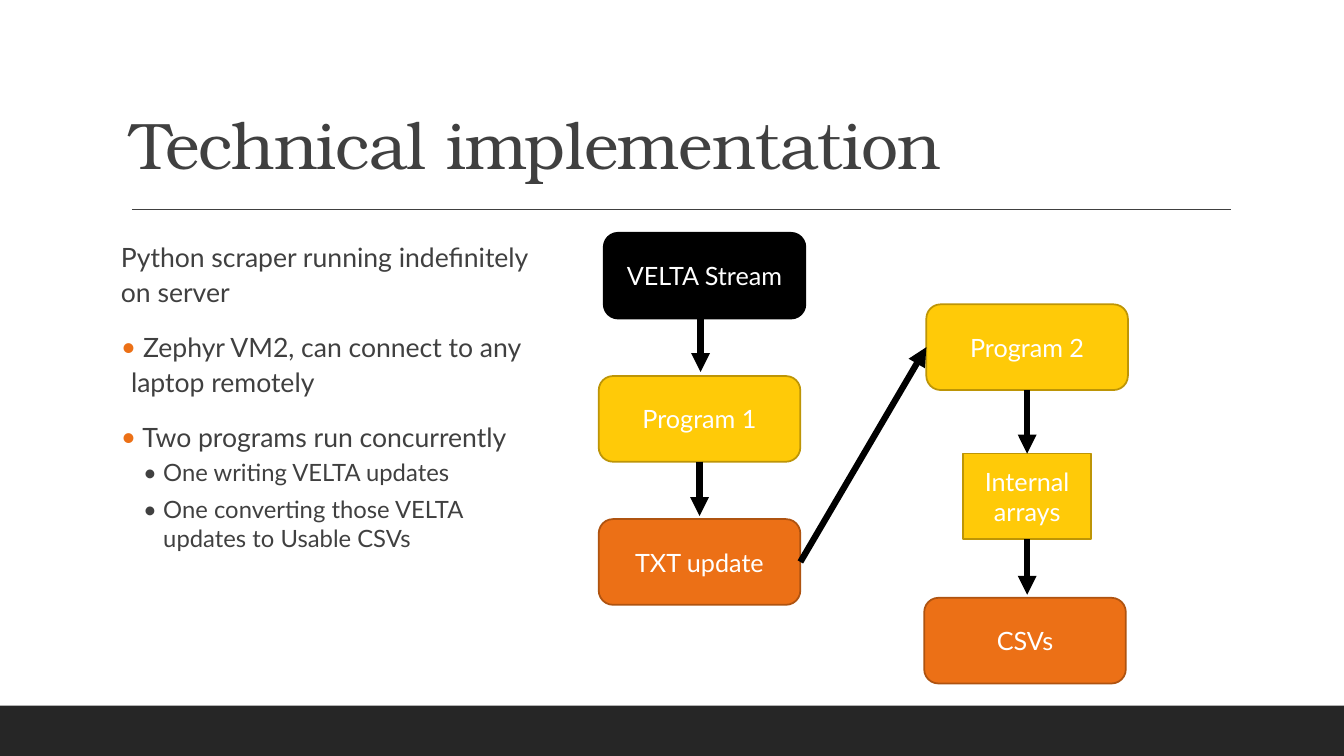
from pptx import Presentation
from pptx.dml.color import RGBColor
from pptx.enum.shapes import MSO_CONNECTOR, MSO_SHAPE
from pptx.enum.text import MSO_ANCHOR, PP_ALIGN
from pptx.oxml.ns import qn
from pptx.util import Pt
from lxml import etree

RECT, ROUND = MSO_SHAPE.RECTANGLE, MSO_SHAPE.ROUNDED_RECTANGLE
STRAIGHT = MSO_CONNECTOR.STRAIGHT
TOP, MIDDLE, BASE = MSO_ANCHOR.TOP, MSO_ANCHOR.MIDDLE, MSO_ANCHOR.BOTTOM
CENTER = PP_ALIGN.CENTER
BLACK = RGBColor(0x00, 0x00, 0x00)
WHITE = RGBColor(0xFF, 0xFF, 0xFF)
GRAY = RGBColor(0x40, 0x40, 0x40)
DARK = RGBColor(0x26, 0x26, 0x26)
GOLD = RGBColor(0xFF, 0xCA, 0x08)
OCHRE = RGBColor(0xBD, 0x95, 0x06)
ORANGE = RGBColor(0xEC, 0x70, 0x16)
RUST = RGBColor(0xAF, 0x53, 0x10)
SANS, SERIF = "Lato", "TeX Gyre Bonum"

# Content
TITLE = "Technical implementation"
# text, style
BODY = [
    ("Python scraper running indefinitely on server", "plain"),
    (" Zephyr VM2, can connect to any laptop remotely", "main"),
    (" Two programs run concurrently", "main"),
    ("One writing VELTA updates", "sub"),
    ("One converting those VELTA updates to Usable CSVs", "sub"),
]
# size, line spacing, before, after, indent, hanging, bullet colour
STYLES = {
    "plain": (19, 1.1, 12, 2, 0, 0, None),
    "main": (19, 1.1, 12, 2, 7.2, 7.2, ORANGE),
    "sub": (17, 1.0, 2, 4, 30.2, 14.4, GRAY),
}
# name: text, left, top, width, fill, line
BOX_H = 61.2
BOXES = {
    "stream": ("VELTA Stream", 431.3, 166.3, 144, BLACK, BLACK),
    "first": ("Program 1", 427.7, 268.6, 144, GOLD, OCHRE),
    "txt": ("TXT update", 427.7, 370.8, 144, ORANGE, RUST),
    "second": ("Program 2", 661.7, 217.4, 144, GOLD, OCHRE),
    "arrays": ("Internal arrays", 688, 324, 91.4, GOLD, OCHRE),
    "csv": ("CSVs", 660.2, 427, 144, ORANGE, RUST),
}
# start, end, joined box and side at each end
ARROWS = [
    ((500.4, 227.5), (500.4, 265.7), None, None),
    ((499.7, 329.8), (499.7, 368.6), ("first", 2), None),
    ((571.7, 401.4), (661.7, 248), ("txt", 3), ("second", 1)),
    ((733.7, 278.6), (733.7, 324), ("second", 2), ("arrays", 0)),
    ((733.7, 385.2), (733.7, 424.8), ("arrays", 2), None),
]

prs = Presentation()
prs.slide_width, prs.slide_height = Pt(960), Pt(540)
slide = prs.slides.add_slide(prs.slide_layouts[6])
shapes = slide.shapes


def add_box(kind, x, y, w, h, fill, edge=None):
    box = shapes.add_shape(kind, Pt(x), Pt(y), Pt(w), Pt(h))
    box.shadow.inherit = False
    box.fill.solid()
    box.fill.fore_color.rgb = fill
    if edge is None:
        box.line.fill.background()
    else:
        box.line.color.rgb = edge
        box.line.width = Pt(1.25)
    return box


def add_line(start, end, color, width, arrow=False):
    line = shapes.add_connector(STRAIGHT, *map(Pt, start + end))
    line.line.color.rgb = color
    line.line.width = Pt(width)
    props = line._element.spPr
    if arrow:
        etree.SubElement(props.find(qn("a:ln")), qn("a:tailEnd"), type="triangle")
    etree.SubElement(props, qn("a:effectLst"))
    return line


def add_frame(x, y, w, h, anchor, side):
    frame = shapes.add_textbox(Pt(x), Pt(y), Pt(w), Pt(h)).text_frame
    frame.word_wrap = True
    frame.vertical_anchor = anchor
    frame.margin_left = frame.margin_right = Pt(side)
    return frame


def set_font(para, name, size, color):
    para.font.name = name
    para.font.size = Pt(size)
    para.font.color.rgb = color


def add_bullet(para, indent, hang, color):
    props = para._p.get_or_add_pPr()
    props.set("marL", str(Pt(indent)))
    props.set("indent", str(-Pt(hang)))
    tint = etree.SubElement(props, qn("a:buClr"))
    etree.SubElement(tint, qn("a:srgbClr"), val=str(color))
    etree.SubElement(props, qn("a:buFont"), typeface=SANS)
    etree.SubElement(props, qn("a:buChar"), char="•")


# Footer band and title rule
add_box(RECT, 0, 504, 960, 36, DARK)
add_line((94.3, 149.6), (879.1, 149.6), GRAY, 1)

# Title
frame = add_frame(86.4, 20.2, 792, 114.5, BASE, 7.2)
para = frame.paragraphs[0]
run = para.add_run()
run.text = TITLE
run._r.get_or_add_rPr().set("spc", "-50")
para.line_spacing = 0.9
set_font(para, SERIF, 47, GRAY)

# Body list
frame = add_frame(86.4, 166.3, 298, 296, TOP, 0)
for i, (text, style) in enumerate(BODY):
    size, lead, before, after, indent, hang, color = STYLES[style]
    para = frame.add_paragraph() if i else frame.paragraphs[0]
    para.text = text
    if color is not None:
        add_bullet(para, indent, hang, color)
    para.line_spacing = lead
    para.space_before = Pt(before if i else 0)
    para.space_after = Pt(after)
    set_font(para, SANS, size, GRAY)

# Flow boxes
nodes = {}
for name, (text, x, y, w, fill, edge) in BOXES.items():
    kind = RECT if name == "arrays" else ROUND
    box = nodes[name] = add_box(kind, x, y, w, BOX_H, fill, edge)
    frame = box.text_frame
    frame.word_wrap = True
    frame.vertical_anchor = MIDDLE
    para = frame.paragraphs[0]
    para.text = text
    para.alignment = CENTER
    set_font(para, SANS, 18, WHITE)

# Flow arrows
for start, end, tail, head in ARROWS:
    line = add_line(start, end, BLACK, 4.5, arrow=True)
    if tail:
        line.begin_connect(nodes[tail[0]], tail[1])
    if head:
        line.end_connect(nodes[head[0]], head[1])

prs.save("out.pptx")
